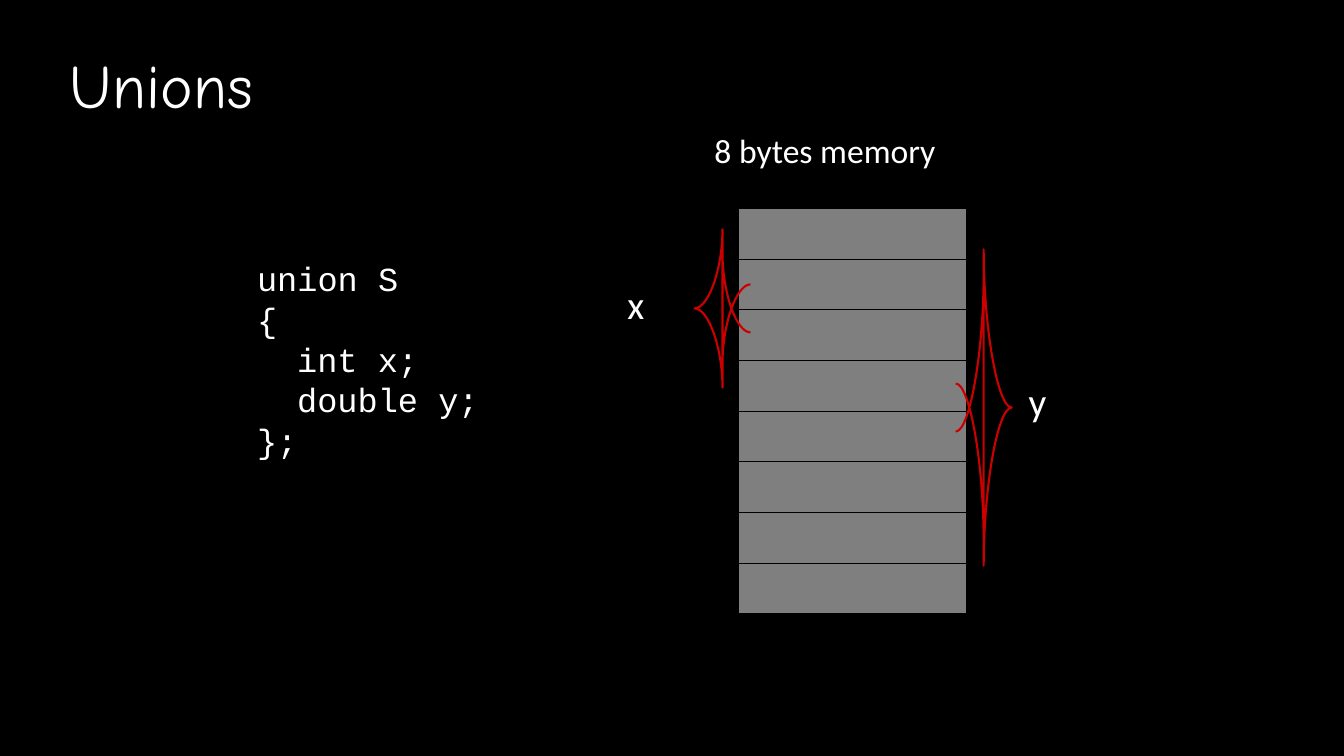
from dataclasses import dataclass

from lxml.etree import SubElement
from pptx import Presentation
from pptx.dml.color import RGBColor
from pptx.enum.text import MSO_ANCHOR
from pptx.oxml import parse_xml
from pptx.oxml.ns import nsdecls, qn
from pptx.util import Pt

SCALE = 9080  # EMU per px


@dataclass(frozen=True)
class Theme:
    background: str = "000000"
    text: str = "FFFFFF"
    cell: str = "7F7F7F"
    border: str = "000000"
    brace: str = "CC0000"
    title_font: str = "Comic Neue"
    body_font: str = "Calibri"
    code_font: str = "Courier New"
    title_size: int = 44
    label_size: int = 28
    body_size: int = 24
    border_width: float = 0.45
    brace_width: float = 1.5


THEME = Theme()
SLIDE_SIZE = (1343, 755)

TITLE = ("Unions", (60, 25, 1141, 126))
CAPTION = ("8 bytes memory", (704, 125, 241, 50))
CODE_BOX = (247, 253, 242, 211)
CODE_INDENT = 40
CODE = [("union S", 0), ("{", 0), ("int x;", 1), ("double y;", 1), ("};", 0)]

BYTES = 8
MEMORY_BOX = (738, 208, 228, 405)

# name, label box, spine x, tip y, half length, side (-1 left, 1 right)
MEMBERS = [
    ("x", (617, 275, 37, 57), 722, 308, 79, -1),
    ("y", (1018, 372, 37, 57), 983, 407, 158, 1),
]
BRACE_REACH = 28
BRACE_HOOK = 24


def px(value):
    return round(value * SCALE)


def emu_box(box):
    return [px(value) for value in box]


def color(value):
    return RGBColor.from_string(value)


def add_text(slide, lines, box, font, size, wrap=False):
    """Add one paragraph for each (text, indent level) and return the frame."""
    frame = slide.shapes.add_textbox(*emu_box(box)).text_frame
    frame.word_wrap = wrap
    for index, (text, level) in enumerate(lines):
        paragraph = frame.add_paragraph() if index else frame.paragraphs[0]
        if level:
            paragraph._p.get_or_add_pPr().set("marL", str(px(level * CODE_INDENT)))
        run = paragraph.add_run()
        run.text = text
        run.font.name = font
        run.font.size = Pt(size)
        run.font.color.rgb = color(THEME.text)
    return frame


def add_memory(slide):
    left, top, width, height = emu_box(MEMORY_BOX)
    table = slide.shapes.add_table(BYTES, 1, left, top, width, height).table
    table.first_row = False
    table.horz_banding = False
    for row in table.rows:
        row.height = height // BYTES
        cell = row.cells[0]
        properties = cell._tc.get_or_add_tcPr()
        for edge in ("lnL", "lnR", "lnT", "lnB"):
            properties.append(parse_xml(
                f'<a:{edge} {nsdecls("a")} w="{Pt(THEME.border_width)}"><a:solidFill>'
                f'<a:srgbClr val="{THEME.border}"/></a:solidFill></a:{edge}>'))
        cell.fill.solid()
        cell.fill.fore_color.rgb = color(THEME.cell)


def brace_commands(half, side):
    """Return the path commands, with points measured from the spine and tip."""
    reach = side * BRACE_REACH
    hook = BRACE_HOOK
    return [
        ("moveTo", [(-reach, -hook)]),
        ("cubicBezTo", [(-reach / 2, -hook), (0, half / 2 - hook), (0, half - hook)]),
        ("lnTo", [(0, -half)]),
        ("cubicBezTo", [(0, -half / 2), (reach / 2, 0), (reach, 0)]),
        ("cubicBezTo", [(reach / 2, 0), (0, half / 2), (0, half)]),
        ("lnTo", [(0, hook - half)]),
        ("cubicBezTo", [(0, hook - half / 2), (-reach / 2, hook), (-reach, hook)]),
    ]


def add_brace(slide, spine, tip, half, side):
    """Frame the hooks with a freeform, then give it the curved brace outline."""
    builder = slide.shapes.build_freeform(px(spine - BRACE_REACH), px(tip - BRACE_HOOK))
    builder.add_line_segments(
        [(px(spine + BRACE_REACH), px(tip + BRACE_HOOK))], close=False)
    shape = builder.convert_to_shape()
    outline = next(shape._element.iter(qn("a:path")))
    for command in list(outline):
        outline.remove(command)
    for name, points in brace_commands(half, side):
        command = SubElement(outline, qn(f"a:{name}"))
        for x, y in points:
            SubElement(command, qn("a:pt"),
                       x=str(px(x + BRACE_REACH)), y=str(px(y + BRACE_HOOK)))
    shape.shadow.inherit = False
    shape.fill.background()
    shape.line.color.rgb = color(THEME.brace)
    shape.line.width = Pt(THEME.brace_width)


def main():
    presentation = Presentation()
    presentation.slide_width, presentation.slide_height = emu_box(SLIDE_SIZE)
    slide = presentation.slides.add_slide(presentation.slide_layouts[6])
    slide.background.fill.solid()
    slide.background.fill.fore_color.rgb = color(THEME.background)

    text, box = TITLE
    title = add_text(slide, [(text, 0)], box, THEME.title_font, THEME.title_size, wrap=True)
    title.vertical_anchor = MSO_ANCHOR.MIDDLE
    title.paragraphs[0].line_spacing = 0.9

    add_memory(slide)
    add_text(slide, CODE, CODE_BOX, THEME.code_font, THEME.body_size)
    for name, box, spine, tip, half, side in MEMBERS:
        add_brace(slide, spine, tip, half, side)
        add_text(slide, [(name, 0)], box, THEME.body_font, THEME.label_size)
    text, box = CAPTION
    add_text(slide, [(text, 0)], box, THEME.body_font, THEME.body_size)

    presentation.save("out.pptx")


if __name__ == "__main__":
    main()
